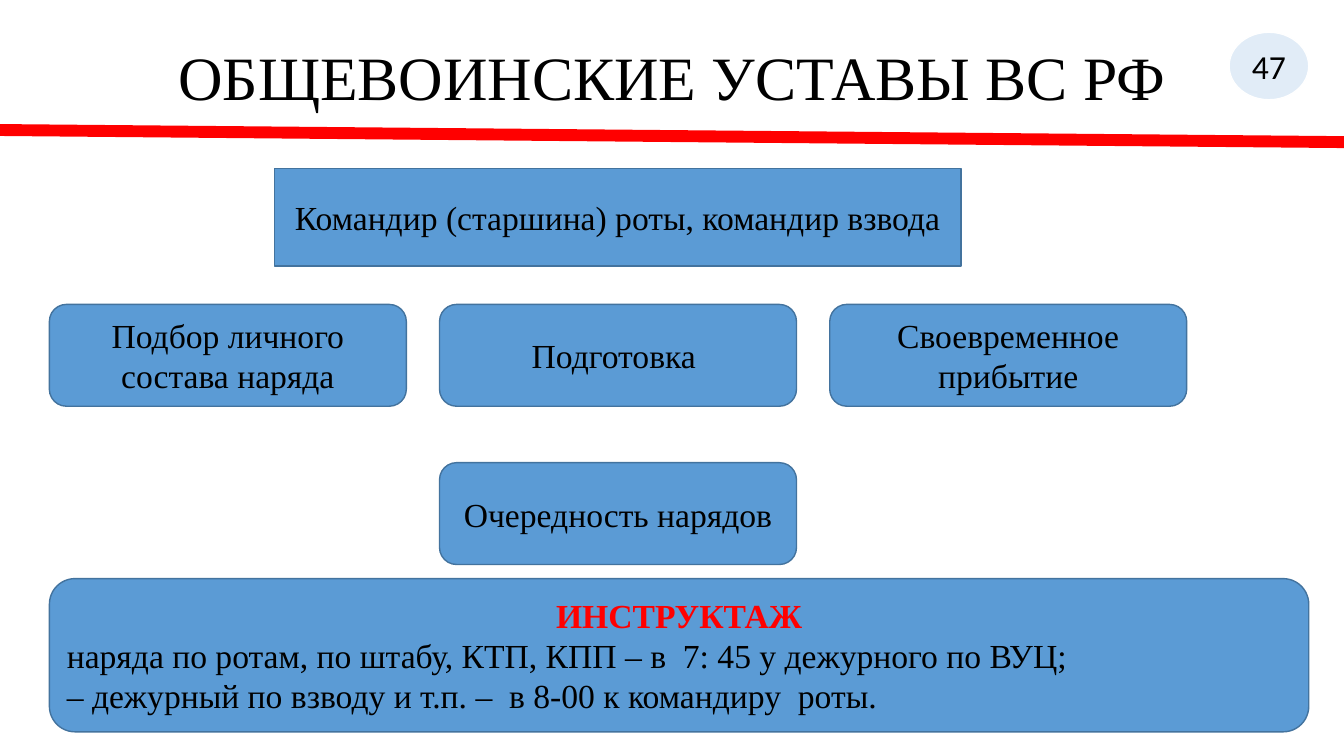
import pptx
import pptx.util
import pptx.dml.color
import pptx.enum.shapes
import pptx.enum.text
import pptx.oxml
import pptx.oxml.ns

Inches = pptx.util.Inches
Pt = pptx.util.Pt
Shape = pptx.enum.shapes.MSO_SHAPE
Align = pptx.enum.text.PP_ALIGN

TITLE = "ОБЩЕВОИНСКИЕ УСТАВЫ ВС РФ"
PAGE_NUMBER = "47"
COMMANDER = "Командир (старшина) роты, командир взвода"
DUTIES = ["Подбор личного состава наряда", "Подготовка ", "Своевременное прибытие"]
ROTATION = "Очередность нарядов"
BRIEFING = [
    "ИНСТРУКТАЖ",
    "наряда по ротам, по штабу, КТП, КПП – в  7: 45 у дежурного по ВУЦ;",
    "– дежурный по взводу и т.п. –  в 8-00 к командиру  роты.",
]
COLORS = {"black": "000000", "white": "FFFFFF", "red": "FF0000",
          "box": "5B9BD5", "border": "43739E"}
SERIF = "Times New Roman"

LEFT = 0.49
DUTY_WIDTH, DUTY_HEIGHT, DUTY_STEP = 3.54, 1.01, 3.87
DUTY_TOP, ROTATION_TOP = 3.02, 4.59


def color(name):
    return pptx.dml.color.RGBColor.from_string(COLORS[name])


def write(shape, lines, size=24, font=SERIF):
    frame = shape.text_frame
    frame.text = "\n".join(lines)
    frame.word_wrap = True
    frame.vertical_anchor = pptx.enum.text.MSO_ANCHOR.MIDDLE
    for paragraph in frame.paragraphs:
        paragraph.alignment = Align.CENTER
        for run in paragraph.runs:
            run.font.size = Pt(size)
            run.font.name = font
            run.font.color.rgb = color("black")
    return frame


def add_box(slide, kind, place, lines, border="border", font=SERIF):
    shape = slide.shapes.add_shape(kind, *map(Inches, place))
    shape.shadow.inherit = False
    shape.fill.solid()
    shape.fill.fore_color.rgb = color("box")
    shape.line.color.rgb = color(border)
    shape.line.width = Pt(1)
    write(shape, lines, font=font)
    return shape


def add_header(slide):
    title = slide.shapes.add_textbox(*map(Inches, (0.92, 0.4, 11.5, 1.45)))
    frame = write(title, [TITLE], size=44)
    frame.margin_bottom = Inches(0.7)
    frame.paragraphs[0].line_spacing = 0.9

    rule = slide.shapes.add_connector(
        pptx.enum.shapes.MSO_CONNECTOR.STRAIGHT,
        *map(Inches, (0, 1.29, 13.33, 1.41)))
    rule.line.color.rgb = color("red")
    rule.line.width = Pt(8.5)
    properties = rule._element.spPr
    properties.append(pptx.oxml.parse_xml(
        "<a:effectLst %s/>" % pptx.oxml.ns.nsdecls("a")))

    badge = add_box(slide, Shape.OVAL, (12.19, 0.32, 0.79, 0.67),
                    [PAGE_NUMBER], border="white", font="Calibri")
    badge.text_frame.word_wrap = False
    fill_color = badge._element.spPr.find(
        pptx.oxml.ns.qn("a:solidFill")).find(pptx.oxml.ns.qn("a:srgbClr"))
    fill_color.append(pptx.oxml.parse_xml(
        '<a:alpha %s val="18000"/>' % pptx.oxml.ns.nsdecls("a")))


def add_scheme(slide):
    rounded = Shape.ROUNDED_RECTANGLE
    add_box(slide, Shape.RECTANGLE, (2.72, 1.67, 6.81, 0.97), [COMMANDER])
    add_box(slide, rounded,
            (LEFT + DUTY_STEP, ROTATION_TOP, DUTY_WIDTH, DUTY_HEIGHT), [ROTATION])
    for column, duty in enumerate(DUTIES):
        place = (LEFT + column * DUTY_STEP, DUTY_TOP, DUTY_WIDTH, DUTY_HEIGHT)
        add_box(slide, rounded, place, [duty])

    briefing = add_box(slide, rounded, (LEFT, 5.74, 12.49, 1.52), BRIEFING)
    heading, *details = briefing.text_frame.paragraphs
    heading.runs[0].font.bold = True
    heading.runs[0].font.color.rgb = color("red")
    for paragraph in details:
        paragraph.alignment = Align.LEFT


def main():
    presentation = pptx.Presentation()
    presentation.slide_width = Inches(13.33)
    presentation.slide_height = Inches(7.5)
    slide = presentation.slides.add_slide(presentation.slide_layouts[6])
    add_header(slide)
    add_scheme(slide)
    presentation.save("out.pptx")


if __name__ == "__main__":
    main()
